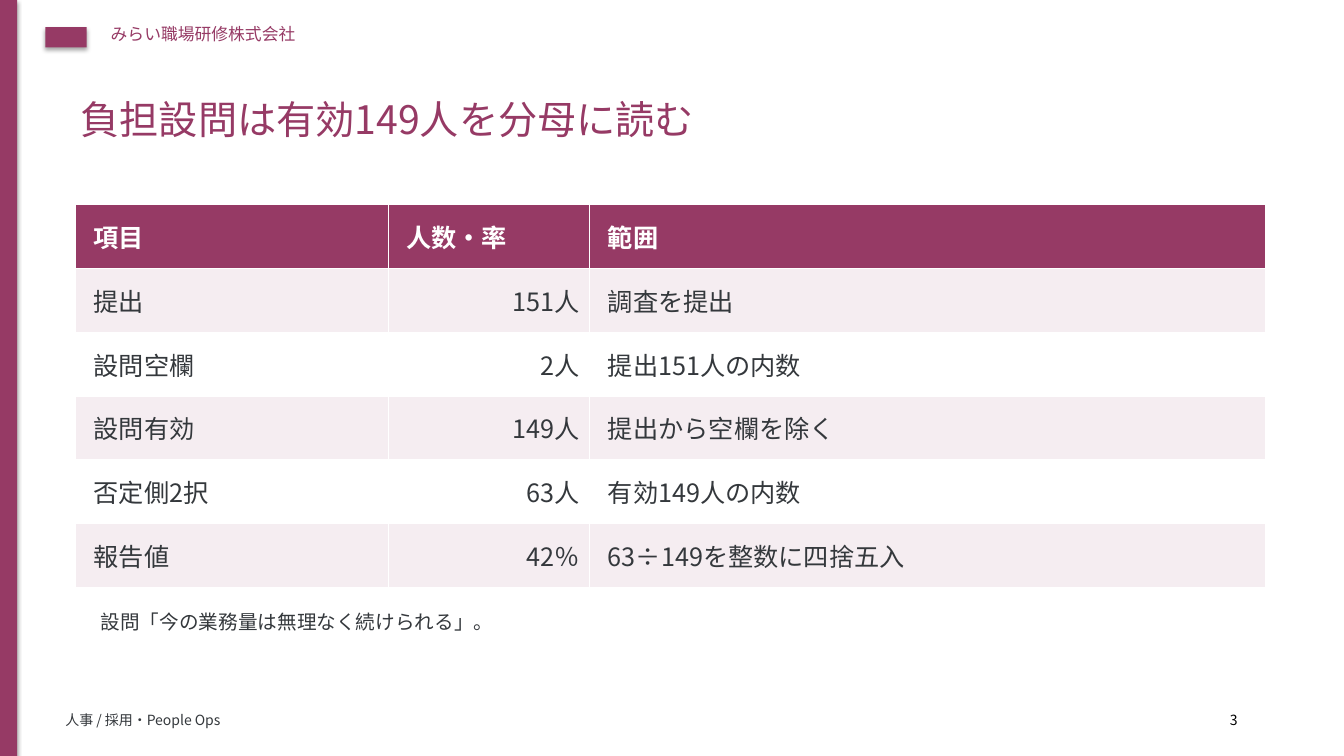
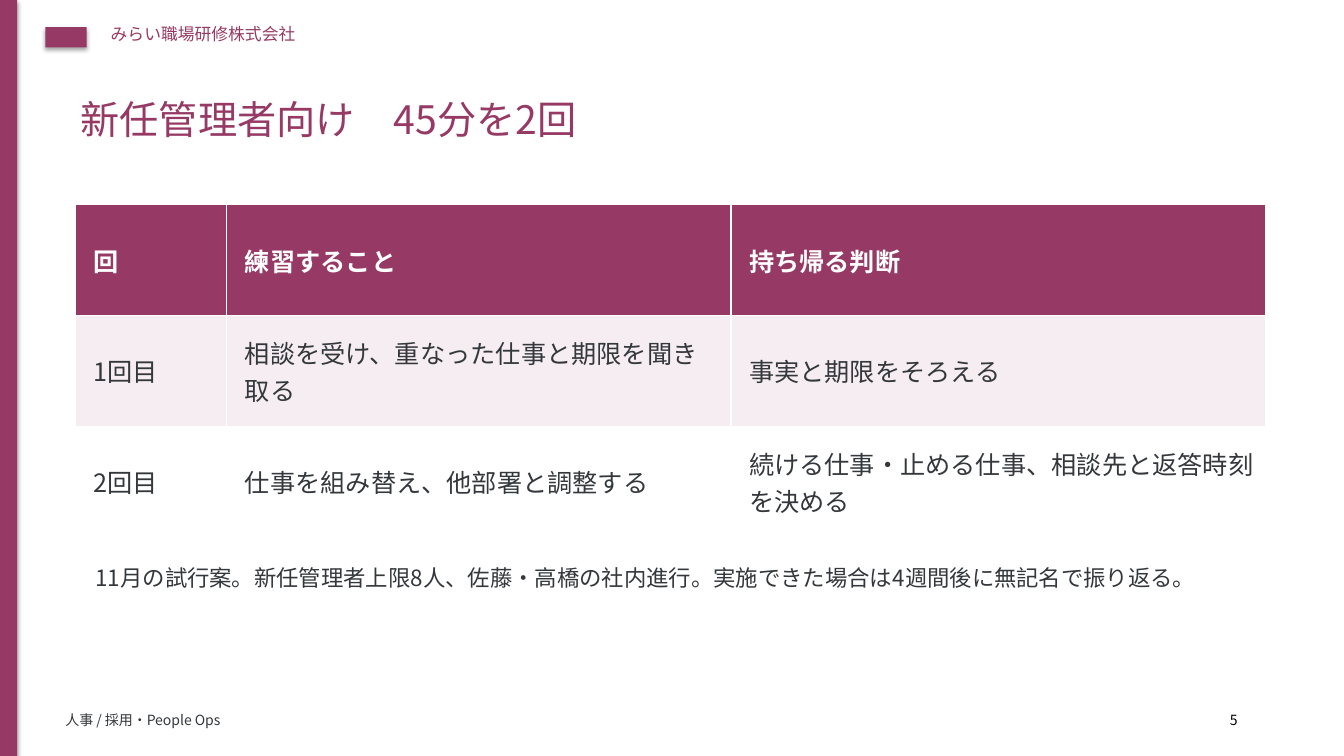
from lxml import etree
from pptx import Presentation
from pptx.dml.color import RGBColor
from pptx.enum.shapes import MSO_SHAPE
from pptx.enum.text import MSO_ANCHOR, MSO_AUTO_SIZE, PP_ALIGN
from pptx.oxml.ns import qn
from pptx.util import Inches, Pt

RECT = MSO_SHAPE.RECTANGLE
MIDDLE = MSO_ANCHOR.MIDDLE
GROW = MSO_AUTO_SIZE.SHAPE_TO_FIT_TEXT
LEFT, RIGHT = PP_ALIGN.LEFT, PP_ALIGN.RIGHT

FONT = "Noto Sans CJK JP"
PLUM, INK, PALE = "963A65", "34383C", "F5EDF1"
WHITE, BLACK = "FFFFFF", "000000"

COMPANY = "みらい職場研修株式会社"
FOOTER = "人事 / 採用・People Ops"

SLIDES = [
    {
        "title": "負担設問は有効149人を分母に読む",
        "page": "3",
        "cols": [3.1, 2, 6.7],
        "height": 3.8,
        "right": [1],
        "rows": [
            ("項目", "人数・率", "範囲"),
            ("提出", "151人", "調査を提出"),
            ("設問空欄", "2人", "提出151人の内数"),
            ("設問有効", "149人", "提出から空欄を除く"),
            ("否定側2択", "63人", "有効149人の内数"),
            ("報告値", "42％", "63÷149を整数に四捨五入"),
        ],
        "note": "設問「今の業務量は無理なく続けられる」。",
        "place": (0.9, 6, 11, 0.5),
        "size": 14,
    },
    {
        "title": "新任管理者向け　45分を2回",
        "page": "5",
        "cols": [1.5, 5, 5.3],
        "height": 3.3,
        "right": [],
        "rows": [
            ("回", "練習すること", "持ち帰る判断"),
            ("1回目", "相談を受け、重なった仕事と期限を聞き取る",
             "事実と期限をそろえる"),
            ("2回目", "仕事を組み替え、他部署と調整する",
             "続ける仕事・止める仕事、相談先と返答時刻を決める"),
        ],
        "note": "11月の試行案。新任管理者上限8人、佐藤・高橋の社内進行。"
                "実施できた場合は4週間後に無記名で振り返る。",
        "place": (0.85, 5.55, 11.4, 0.9),
        "size": 16,
    },
]


def color(code):
    return RGBColor.from_string(code)


def inches(*sizes):
    return [Inches(size) for size in sizes]


def write(frame, text, size=18, fill=INK, bold=None, align=None):
    """Put one formatted run in a text frame, for Latin and Japanese."""
    para = frame.paragraphs[0]
    para.alignment = align
    run = para.add_run()
    run.text = text
    font = run.font
    font.size, font.bold, font.name = Pt(size), bold, FONT
    font.color.rgb = color(fill)
    props = run._r.get_or_add_rPr()
    etree.SubElement(props, qn("a:ea")).set("typeface", FONT)


def add_text(slide, place, text, wrap=False, **style):
    box = slide.shapes.add_textbox(*inches(*place))
    frame = box.text_frame
    frame.word_wrap = wrap
    frame.auto_size = GROW
    write(frame, text, **style)
    return box


def add_block(slide, place):
    """Add a plum rectangle that keeps the soft shadow of the theme."""
    block = slide.shapes.add_shape(RECT, *inches(*place))
    block.fill.solid()
    block.fill.fore_color.rgb = color(PLUM)
    block.line.fill.background()
    return block


def add_frame(layout, slide):
    """Draw the shared parts, then hand them over to the layout."""
    for holder in list(layout.placeholders)[1:]:
        layout.shapes.element.remove(holder.element)
    parts = [
        add_block(slide, (0, 0, 0.17, 7.5)),
        add_block(slide, (0.45, 0.27, 0.41, 0.2)),
        add_text(slide, (1, 0.19, 8, 0.4), COMPANY, size=12, fill=PLUM),
        add_text(slide, (0.55, 7.01, 10, 0.3), FOOTER, size=10),
    ]
    for part in parts:
        layout.shapes.element.append(part.element)


def add_grid(slide, data):
    rows, cols = data["rows"], data["cols"]
    place = inches(0.75, 2.03, sum(cols), data["height"])
    table = slide.shapes.add_table(len(rows), len(cols), *place).table
    for col, width in zip(table.columns, cols):
        col.width = Inches(width)
    for r, row in enumerate(rows):
        head = r == 0
        back = PLUM if head else PALE if r % 2 else WHITE
        for c, text in enumerate(row):
            cell = table.cell(r, c)
            cell.fill.solid()
            cell.fill.fore_color.rgb = color(back)
            cell.vertical_anchor = MIDDLE
            cell.margin_left = Inches(0.18)
            side = RIGHT if c in data["right"] and not head else LEFT
            write(cell.text_frame, text, fill=WHITE if head else INK,
                  bold=head, align=side)


def add_page(deck, layout, data):
    slide = deck.slides.add_slide(layout)
    title = slide.shapes.title
    title.left, title.top, title.width, title.height = inches(
        0.7, 0.9, 11.8, 0.85)
    title.text_frame.vertical_anchor = MSO_ANCHOR.TOP
    write(title.text_frame, data["title"], size=28, fill=PLUM, align=LEFT)
    add_text(slide, (12.1, 7.01, 0.4, 0.25), data["page"], size=10,
             fill=BLACK)
    add_grid(slide, data)
    add_text(slide, data["place"], data["note"], wrap=True,
             size=data["size"])
    return slide


def main():
    deck = Presentation()
    deck.slide_width, deck.slide_height = inches(13.33, 7.5)
    layout = deck.slide_layouts[5]
    pages = [add_page(deck, layout, data) for data in SLIDES]
    add_frame(layout, pages[0])
    deck.save("out.pptx")


if __name__ == "__main__":
    main()
